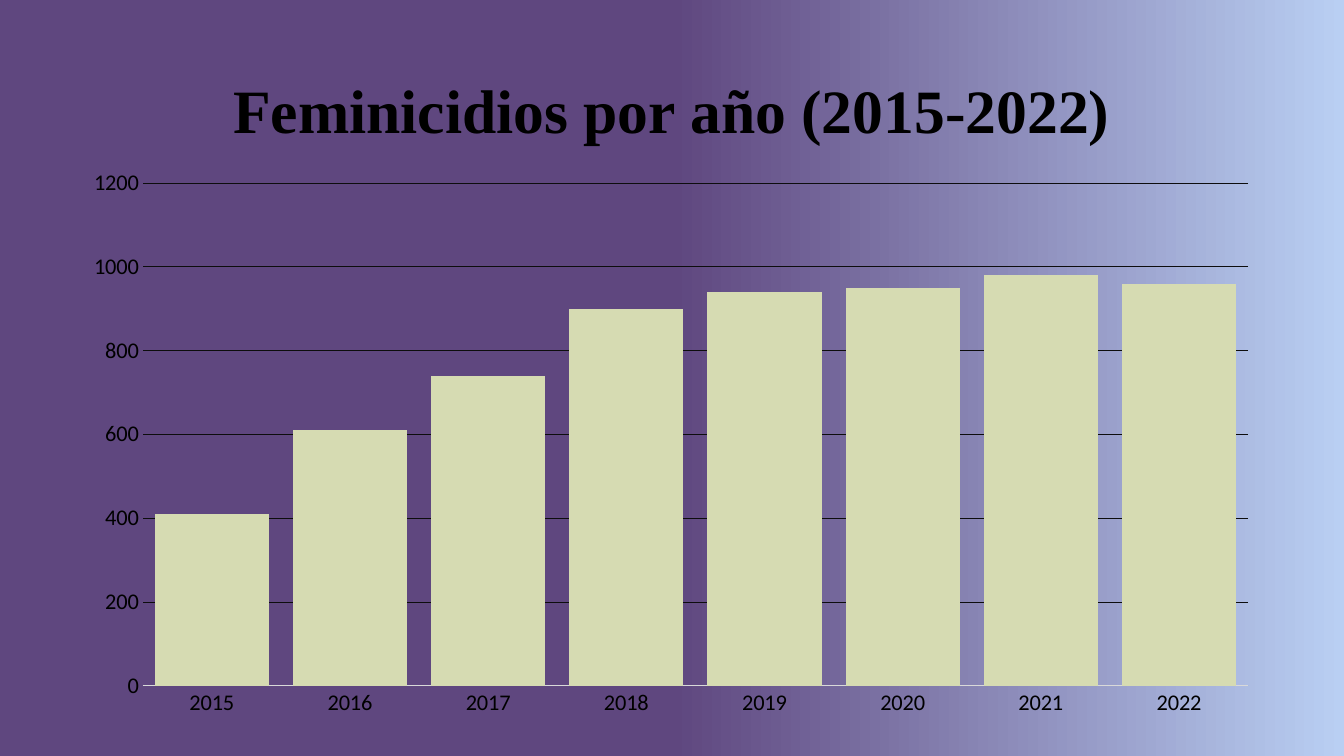
from dataclasses import dataclass

from lxml import etree
from pptx import Presentation
from pptx.chart.data import CategoryChartData
from pptx.dml.color import RGBColor
from pptx.enum.chart import XL_CHART_TYPE, XL_TICK_MARK
from pptx.enum.text import MSO_ANCHOR, PP_ALIGN
from pptx.oxml.ns import qn
from pptx.util import Cm, Pt

COLUMNS = XL_CHART_TYPE.COLUMN_CLUSTERED
NO_TICK = XL_TICK_MARK.NONE
MIDDLE = MSO_ANCHOR.MIDDLE
CENTER = PP_ALIGN.CENTER

HEADING = "Feminicidios por año (2015-2022)"
CASES_BY_YEAR = {
    "2015": 410, "2016": 610, "2017": 740, "2018": 900,
    "2019": 940, "2020": 950, "2021": 980, "2022": 960,
}
SERIES_NAME = "Series 1"
AXIS_TOP, AXIS_STEP = 1200, 200

SLIDE_SIZE = Cm(33.87), Cm(19.05)
HEADING_BOX = Cm(2.33), Cm(1.02), Cm(29.21), Cm(3.68)
CHART_BOX = Cm(1.78), Cm(4.04), Cm(30.28), Cm(14.4)
PLOT_SHARE = {"x": 0.06, "y": 0.04, "w": 0.92, "h": 0.88}


@dataclass(frozen=True)
class Theme:
    purple: str = "5F477F"
    sky: str = "B9CFF3"
    ink: str = "000000"
    column: str = "D6DBB2"
    base_line: str = "D9D9D9"
    grid: str = "0D0D0D"
    heading_font: str = "Times New Roman"
    chart_font: str = "Calibri"
    heading_size: int = 44
    axis_size: int = 16
    line_width: float = 0.75


THEME = Theme()


def rgb(code):
    return RGBColor.from_string(code)


def style_font(font, name, size, color, bold=False):
    font.name = name
    font.size = Pt(size)
    font.color.rgb = rgb(color)
    font.bold = bold


def style_line(line, color):
    line.color.rgb = rgb(color)
    line.width = Pt(THEME.line_width)


def add_text(slide, text, box, *, font, size, color, bold=False, align=CENTER, spacing=0.9):
    frame = slide.shapes.add_textbox(*box).text_frame
    frame.word_wrap = True
    frame.vertical_anchor = MIDDLE
    paragraph = frame.paragraphs[0]
    paragraph.alignment = align
    paragraph.line_spacing = spacing
    run = paragraph.add_run()
    run.text = text
    style_font(run.font, font, size, color, bold)


def paint_background(slide):
    fill = slide.background.fill
    fill.gradient()
    fill.gradient_angle = 0
    stops = (0.5, THEME.purple), (1, THEME.sky)
    for stop, (position, color) in zip(fill.gradient_stops, stops):
        stop.position = position
        stop.color.rgb = rgb(color)


def place_plot(chart, share):
    """Fix the inner plot area as shares of the chart's width and height."""
    plot_area = chart.element.find(".//" + qn("c:plotArea"))
    for old in plot_area.findall(qn("c:layout")):
        plot_area.remove(old)
    layout = etree.Element(qn("c:layout"))
    manual = etree.SubElement(layout, qn("c:manualLayout"))
    settings = {"layoutTarget": "inner", "xMode": "edge", "yMode": "edge", **share}
    for tag, value in settings.items():
        etree.SubElement(manual, qn(f"c:{tag}")).set("val", str(value))
    plot_area.insert(0, layout)


def add_cases_chart(slide):
    cases = CategoryChartData()
    cases.categories = list(CASES_BY_YEAR)
    cases.add_series(SERIES_NAME, list(CASES_BY_YEAR.values()))
    chart = slide.shapes.add_chart(COLUMNS, *CHART_BOX, cases).chart
    chart.has_legend = False
    chart.has_title = False
    style_font(chart.font, THEME.chart_font, THEME.axis_size, THEME.ink)
    place_plot(chart, PLOT_SHARE)

    columns = chart.plots[0]
    columns.vary_by_categories = False
    columns.gap_width = 21
    columns.overlap = 1
    fill = columns.series[0].format.fill
    fill.solid()
    fill.fore_color.rgb = rgb(THEME.column)

    years, counts = chart.category_axis, chart.value_axis
    for axis in (years, counts):
        axis.major_tick_mark = axis.minor_tick_mark = NO_TICK
        style_font(axis.tick_labels.font, THEME.chart_font, THEME.axis_size, THEME.ink)
    style_line(years.format.line, THEME.base_line)
    counts.minimum_scale = 0
    counts.maximum_scale = AXIS_TOP
    counts.major_unit = AXIS_STEP
    counts.format.line.fill.background()
    counts.has_major_gridlines = True
    style_line(counts.major_gridlines.format.line, THEME.grid)


def main():
    deck = Presentation()
    deck.slide_width, deck.slide_height = SLIDE_SIZE
    slide = deck.slides.add_slide(deck.slide_layouts[6])
    paint_background(slide)
    add_text(slide, HEADING, HEADING_BOX, font=THEME.heading_font,
             size=THEME.heading_size, color=THEME.ink, bold=True)
    add_cases_chart(slide)
    deck.save("out.pptx")


if __name__ == "__main__":
    main()
